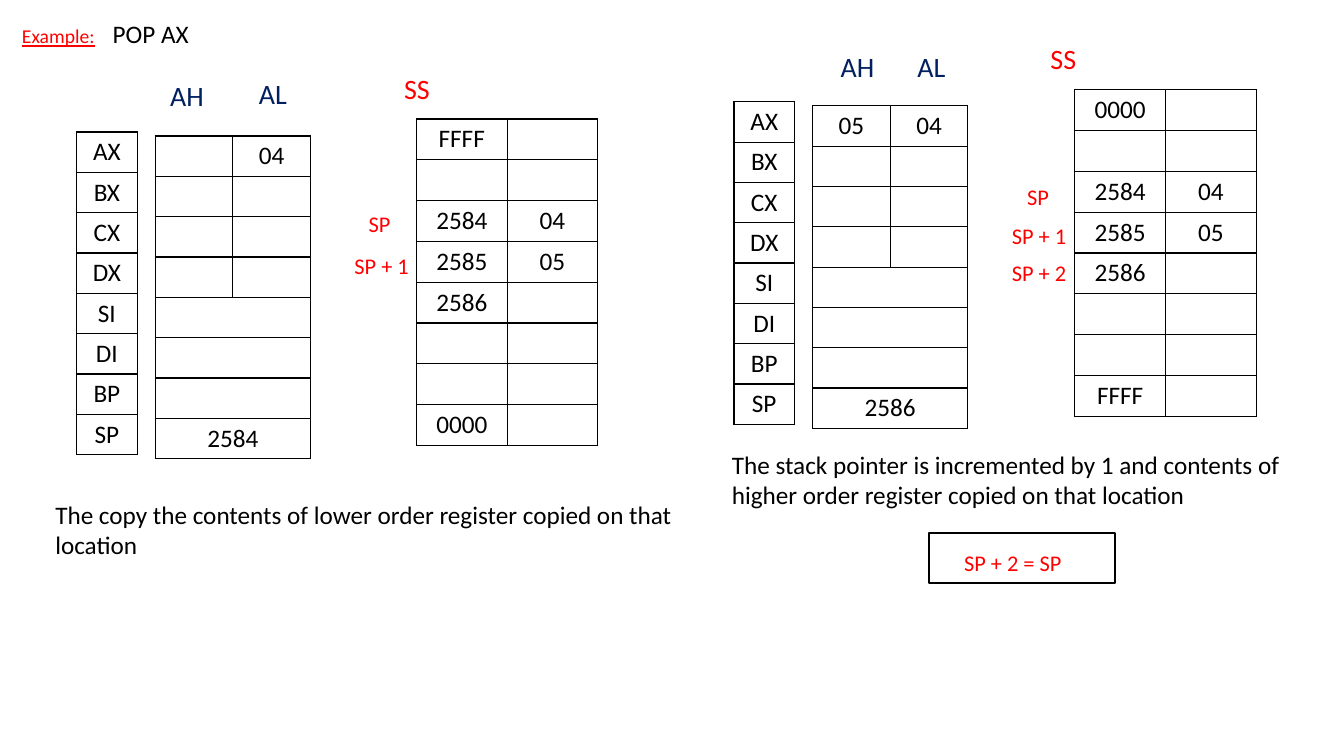
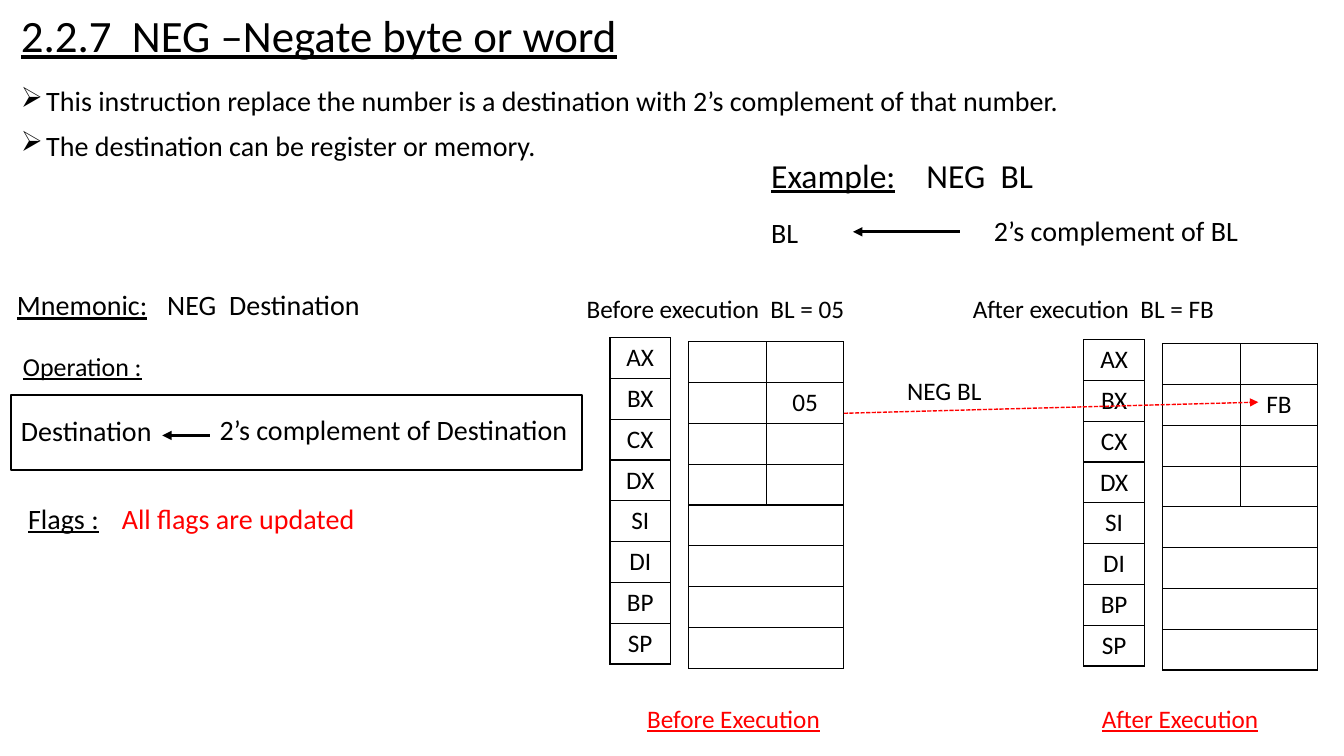
import collections

import pptx
import pptx.dml.color
import pptx.enum.dml
import pptx.enum.shapes
import pptx.enum.text
import pptx.oxml.ns
import pptx.oxml.xmlchemy
import pptx.util
from lxml import etree

SCALE = 9144  # EMU in one px, at 100 px to the inch
COLORS = {"black": "000000", "red": "FF0000", "navy": "002060"}
FONT = "Calibri"
REGISTERS = ["AX", "BX", "CX", "DX", "SI", "DI", "BP", "SP"]
SPLIT_ROWS = 4  # registers that have a high and a low byte
CENTER = pptx.enum.text.PP_ALIGN.CENTER
MIDDLE = pptx.enum.text.MSO_ANCHOR.MIDDLE

Run = collections.namedtuple("Run", "text size color underline",
                             defaults=[20, "black", False])


def px(length):
    return pptx.util.Emu(length * SCALE)


def rgb(color):
    return pptx.dml.color.RGBColor.from_string(COLORS[color])


def add_xml(parent, tag, **attributes):
    return etree.SubElement(parent, pptx.oxml.ns.qn(tag), attributes)


class Deck:
    def __init__(self):
        self.prs = pptx.Presentation()
        self.prs.slide_width, self.prs.slide_height = px(1333), px(750)
        self.slide = None

    def new_slide(self):
        self.slide = self.prs.slides.add_slide(self.prs.slide_layouts[6])

    def add_runs(self, paragraph, runs):
        for run in runs:
            part = paragraph.add_run()
            part.text = run.text
            font = part.font
            font.name, font.size = FONT, pptx.util.Pt(run.size)
            font.color.rgb = rgb(run.color)
            font.underline = run.underline

    def text(self, box, *runs, spacing=0.9, align=None, tab=None, anchor=None):
        """Add a one-paragraph text box; tab is a stop measured from the text edge."""
        frame = self.frame(box)
        if anchor is not None:
            frame.vertical_anchor = anchor
        paragraph = frame.paragraphs[0]
        paragraph.line_spacing = spacing
        paragraph.alignment = align
        if tab:
            stops = add_xml(paragraph._p.get_or_add_pPr(), "a:tabLst")
            add_xml(stops, "a:tab", pos=str(px(tab)), algn="l")
        self.add_runs(paragraph, runs)

    def bullets(self, box, lines):
        frame = self.frame(box)
        for index, line in enumerate(lines):
            paragraph = frame.add_paragraph() if index else frame.paragraphs[0]
            paragraph.line_spacing = 0.9
            if index:
                paragraph.space_before = pptx.util.Pt(10)
            props = paragraph._p.get_or_add_pPr()
            props.set("marL", str(px(25)))
            props.set("indent", str(-px(25)))
            add_xml(props, "a:buChar", char="➢")
            self.add_runs(paragraph, [Run(line)])

    def frame(self, box):
        frame = self.slide.shapes.add_textbox(*map(px, box)).text_frame
        frame.word_wrap = True
        return frame

    def outline(self, box):
        shape = self.slide.shapes.add_shape(
            pptx.enum.shapes.MSO_SHAPE.RECTANGLE, *map(px, box))
        shape.shadow.inherit = False
        shape.fill.background()
        shape.line.color.rgb = rgb("black")
        shape.line.width = pptx.util.Pt(1.5)

    def arrow(self, start, end, color="black", width=2.25, dash=None):
        link = self.slide.shapes.add_connector(
            pptx.enum.shapes.MSO_CONNECTOR.STRAIGHT, *map(px, start + end))
        link.line.color.rgb = rgb(color)
        link.line.width = pptx.util.Pt(width)
        if dash is not None:
            link.line.dash_style = dash
        add_xml(link.line._get_or_add_ln(), "a:tailEnd", type="triangle")
        add_xml(link._element.spPr, "a:effectLst")

    def grid(self, left, top, col_width, height, rows, merge_from=None):
        """Add a bordered table; rows from merge_from on span every column."""
        cols = len(rows[0])
        table = self.slide.shapes.add_table(
            len(rows), cols, px(left), px(top), px(col_width * cols), px(height)).table
        table.first_row = table.horz_banding = False
        for column in table.columns:
            column.width = px(col_width)
        for r, values in enumerate(rows):
            table.rows[r].height = px(height) // len(rows)
            for c, value in enumerate(values):
                self.fill_cell(table.cell(r, c), value)
            if merge_from is not None and r >= merge_from:
                table.cell(r, 0).merge(table.cell(r, cols - 1))

    def fill_cell(self, cell, value):
        cell.margin_top = cell.margin_bottom = px(4)
        cell.vertical_anchor = MIDDLE
        props = cell._tc.get_or_add_tcPr()
        for side in ("a:lnL", "a:lnR", "a:lnT", "a:lnB"):
            border = add_xml(props, side, w=str(pptx.util.Pt(1)))
            add_xml(add_xml(border, "a:solidFill"), "a:srgbClr", val=COLORS["black"])
        cell.fill.background()
        if value:
            paragraph = cell.text_frame.paragraphs[0]
            paragraph.alignment = CENTER
            self.add_runs(paragraph, [Run(value, 18)])

    def registers(self, left, top, height, contents):
        """Add register names and their bytes; contents maps a name to (high, low)."""
        rows = [contents.get(name, ("", "")) for name in REGISTERS]
        self.grid(left + 78, top + 4, 77, height, rows, SPLIT_ROWS)
        self.grid(left, top, 60, height, [[name] for name in REGISTERS])

    def stack(self, left, top, addresses, values):
        for index, column in enumerate((addresses, values)):
            self.grid(left + index * 90, top, 90, 324, [[item] for item in column])

    def pointer(self, left, top, label):
        self.text((left, top, 125, 37), Run(label, 16, "red"), spacing=1, align=CENTER)


def pop_slide(deck):
    deck.new_slide()
    deck.text((12, 17, 394, 43), Run("Example:", 14, "red", True),
              Run("\tPOP AX", 18), tab=90)

    deck.registers(76, 131, 320, {"AX": ("", "04"), "SP": ("2584", "")})
    deck.registers(728, 101, 320, {"AX": ("05", "04"), "SP": ("2586", "")})

    middle = ["", "2584", "2585", "2586", "", ""]
    values = ["", "", "04", "05", "", "", "", ""]
    deck.stack(413, 118, ["FFFF", *middle, "0000"], values)
    deck.stack(1066, 89, ["0000", *middle, "FFFF"], values)

    for left, top, heading, color in (
            (391, 70, "SS", "red"), (159, 77, "AH", "navy"), (247, 75, "AL", "navy"),
            (1032, 40, "SS", "red"), (824, 48, "AH", "navy"), (900, 48, "AL", "navy")):
        deck.text((left, top, 56, 42), Run(heading, 20, color))

    for left, top, label in (
            (314, 204, "SP"), (316, 245, "SP + 1"),
            (967, 177, "SP"), (968, 215, "SP + 1"), (968, 252, "SP + 2")):
        deck.pointer(left, top, label)

    deck.text((45, 490, 667, 101), Run(
        "The copy the contents of lower order register copied on that location", 18),
        spacing=1)
    deck.text((716, 441, 595, 71), Run(
        "The stack pointer is incremented by 1 and contents of higher order register "
        "copied on that location", 18), spacing=1)
    deck.pointer(942, 540, "SP + 2 = SP")
    deck.outline((921, 529, 185, 49))


def neg_slide(deck):
    deck.new_slide()
    deck.text((11, -12, 1150, 100),
              Run("2.2.7  NEG –Negate byte or word", 32, underline=True), anchor=MIDDLE)
    deck.bullets((11, 82, 1322, 107), [
        "This instruction replace the number is a destination with 2’s complement "
        "of that number.",
        "The destination can be register or memory."])

    deck.text((7, 284, 388, 58), Run("Mnemonic:", underline=True),
              Run("\tNEG  Destination"), tab=149)
    deck.text((13, 351, 266, 34), Run("Operation :", 18.5, underline=True), spacing=0.7)
    deck.text((11, 412, 173, 39), Run("Destination"), spacing=0.8)
    deck.outline((11, 392, 566, 74))
    deck.arrow((208, 432), (161, 432))
    deck.text((208, 408, 386, 81), Run("2’s complement of Destination"))
    deck.text((18, 496, 185, 42), Run("Flags :", underline=True))
    deck.text((111, 496, 449, 74), Run("All flags are updated", color="red"))

    deck.text((755, 153, 343, 43), Run("Example:", 24, underline=True),
              Run("\tNEG  BL", 24), tab=154)
    deck.text((755, 213, 79, 43), Run("BL"))
    deck.text((976, 211, 297, 43), Run("2’s complement of BL"))
    deck.arrow((952, 230), (846, 230))

    for stage, value, heading_left, left, top, caption_left in (
            ("Before", "05", 572, 605, 335, 632),
            ("After", "FB", 955, 1075, 337, 1083)):
        deck.text((heading_left, 289, 397, 29),
                  Run(f"{stage} execution  BL = {value}", 18))
        deck.registers(left, top, 324, {"BX": ("", value)})
        deck.text((caption_left, 696, 262, 60),
                  Run(f"{stage} Execution", 18, "red", True))

    deck.arrow((837, 410), (1248, 399), "red", 1, pptx.enum.dml.MSO_LINE.SQUARE_DOT)
    deck.text((890, 367, 150, 40), Run("NEG BL", 18), spacing=1)


def main():
    deck = Deck()
    pop_slide(deck)
    neg_slide(deck)
    deck.prs.save("out.pptx")


if __name__ == "__main__":
    main()
